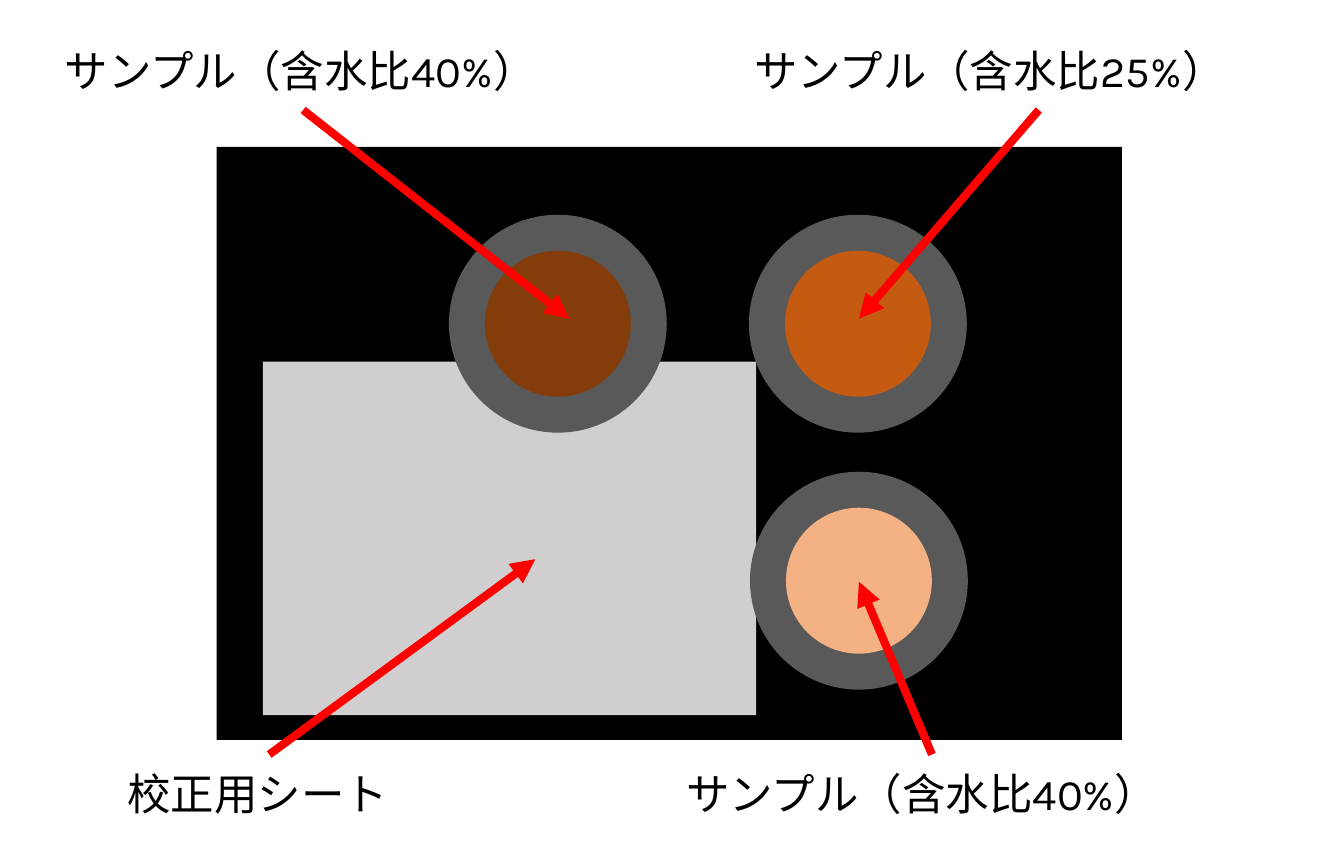
from typing import NamedTuple

from lxml import etree
from pptx import Presentation
from pptx.dml.color import RGBColor
from pptx.enum.shapes import MSO_CONNECTOR, MSO_SHAPE
from pptx.enum.text import MSO_AUTO_SIZE
from pptx.oxml.ns import qn
from pptx.slide import Slide
from pptx.util import Cm, Pt

RECTANGLE = MSO_SHAPE.RECTANGLE
OVAL = MSO_SHAPE.OVAL
STRAIGHT = MSO_CONNECTOR.STRAIGHT
FIT_SHAPE = MSO_AUTO_SIZE.SHAPE_TO_FIT_TEXT

BLACK = RGBColor(0x00, 0x00, 0x00)
SHEET_GREY = RGBColor(0xD0, 0xCE, 0xCE)
DISH_GREY = RGBColor(0x59, 0x59, 0x59)
WET_SOIL = RGBColor(0x84, 0x3C, 0x0B)
MOIST_SOIL = RGBColor(0xC5, 0x5A, 0x11)
DRY_SOIL = RGBColor(0xF4, 0xB1, 0x83)
RED = RGBColor(0xFF, 0x00, 0x00)

FONT = "Karla"
BLANK_LAYOUT = 6
LABEL_HEIGHT = 0.76
DISH_DIAMETER = 2.12
SOIL_DIAMETER = 1.42
TOP_LABEL, BOTTOM_LABEL = 0.3, 7.34
TOP_ARROW, BOTTOM_ARROW = 1.07, 7.34


class Label(NamedTuple):
    text: str
    left: float
    top: float
    width: float


class Panel(NamedTuple):
    left: float
    top: float
    width: float
    height: float
    color: RGBColor


class Sample(NamedTuple):
    center_x: float
    center_y: float
    soil: RGBColor


class Arrow(NamedTuple):
    start_x: float
    start_y: float
    end_x: float
    end_y: float


LABELS = [
    Label("サンプル（含水比40%）", 6.43, BOTTOM_LABEL, 5.31),
    Label("サンプル（含水比25%）", 7.09, TOP_LABEL, 6.07),
    Label("サンプル（含水比40%）", 0.38, TOP_LABEL, 5.13),
    Label("校正用シート", 0.99, BOTTOM_LABEL, 3.28),
]
PANELS = [
    Panel(2.11, 1.43, 8.81, 5.77, BLACK),
    Panel(2.56, 3.52, 4.8, 3.44, SHEET_GREY),
]
SAMPLES = [
    Sample(8.36, 5.65, DRY_SOIL),
    Sample(8.35, 3.15, MOIST_SOIL),
    Sample(5.43, 3.15, WET_SOIL),
]
ARROWS = [
    Arrow(2.95, TOP_ARROW, 5.54, 3.1),
    Arrow(10.11, TOP_ARROW, 8.36, 3.1),
    Arrow(9.07, BOTTOM_ARROW, 8.36, 5.66),
    Arrow(2.62, BOTTOM_ARROW, 5.21, 5.44),
]


def write_text(para, text: str, *, size: float = 12, color: RGBColor = BLACK, font: str = FONT) -> None:
    span = para.add_run()
    span.text = text
    span.font.name = font
    span.font.size = Pt(size)
    span.font.color.rgb = color


def add_label(page: Slide, label: Label) -> None:
    box = page.shapes.add_textbox(Cm(label.left), Cm(label.top), Cm(label.width), Cm(LABEL_HEIGHT))
    box.text_frame.word_wrap = True
    box.text_frame.auto_size = FIT_SHAPE
    write_text(box.text_frame.paragraphs[0], label.text)


def add_filled(page: Slide, kind: MSO_SHAPE, panel: Panel) -> None:
    shape = page.shapes.add_shape(kind, Cm(panel.left), Cm(panel.top), Cm(panel.width), Cm(panel.height))
    shape.shadow.inherit = False
    shape.fill.solid()
    shape.fill.fore_color.rgb = panel.color
    shape.line.fill.background()


def add_sample(page: Slide, sample: Sample) -> None:
    for diameter, color in ((DISH_DIAMETER, DISH_GREY), (SOIL_DIAMETER, sample.soil)):
        left = sample.center_x - diameter / 2
        top = sample.center_y - diameter / 2
        add_filled(page, OVAL, Panel(left, top, diameter, diameter, color))


def add_arrow(page: Slide, arrow: Arrow) -> None:
    connector = page.shapes.add_connector(STRAIGHT, *(Cm(value) for value in arrow))
    connector.line.color.rgb = RED
    connector.line.width = Pt(2.25)
    properties = connector._element.spPr
    etree.SubElement(properties.find(qn("a:ln")), qn("a:tailEnd"), type="triangle")
    etree.SubElement(properties, qn("a:effectLst"))


def main() -> None:
    deck = Presentation()
    deck.slide_width = Cm(13.08)
    deck.slide_height = Cm(8.23)
    page = deck.slides.add_slide(deck.slide_layouts[BLANK_LAYOUT])
    for label in LABELS:
        add_label(page, label)
    for panel in PANELS:
        add_filled(page, RECTANGLE, panel)
    for sample in SAMPLES:
        add_sample(page, sample)
    for arrow in ARROWS:
        add_arrow(page, arrow)
    deck.save("out.pptx")


if __name__ == "__main__":
    main()
